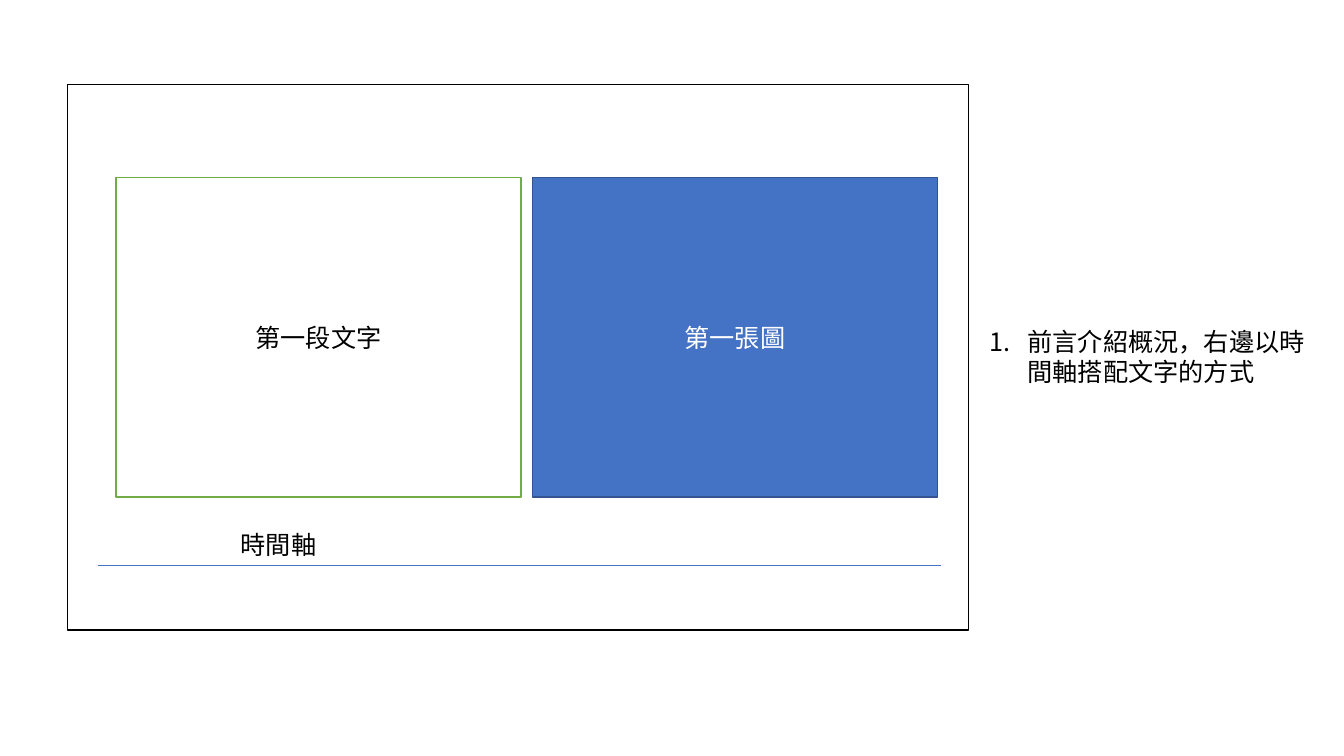
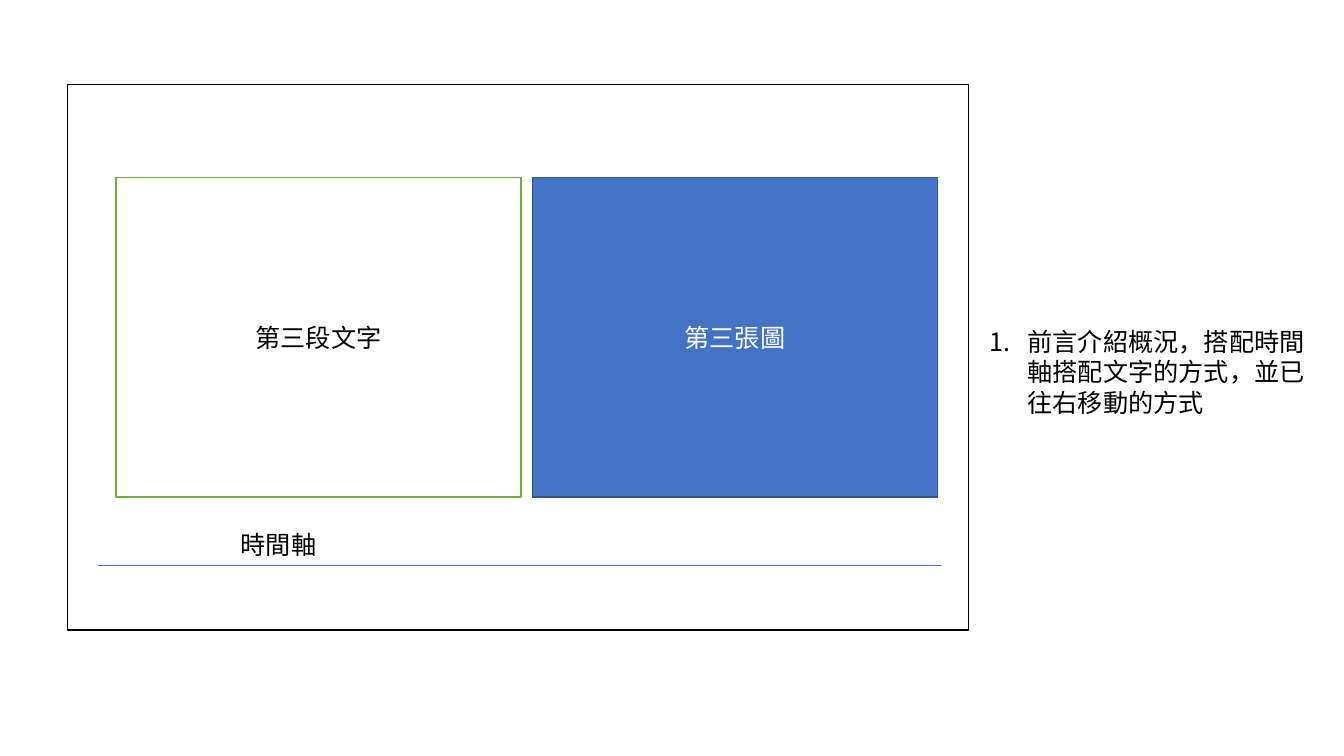
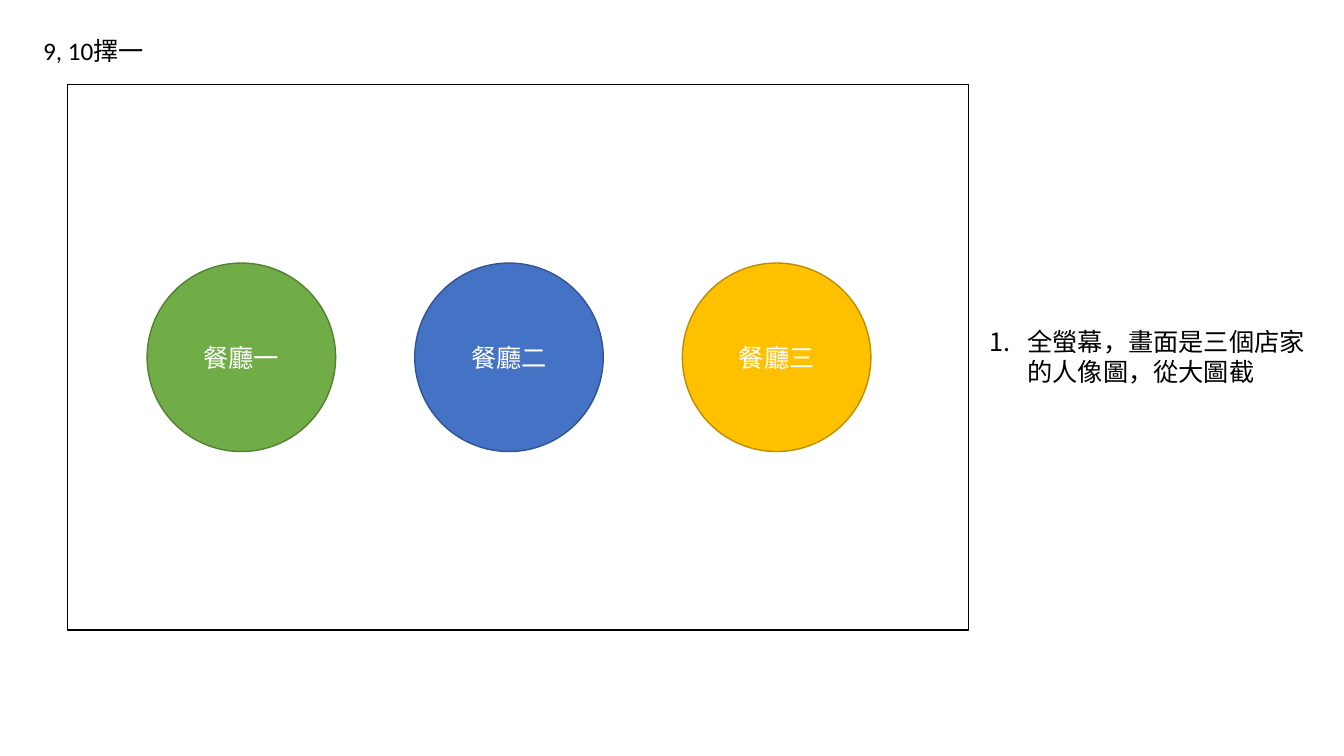
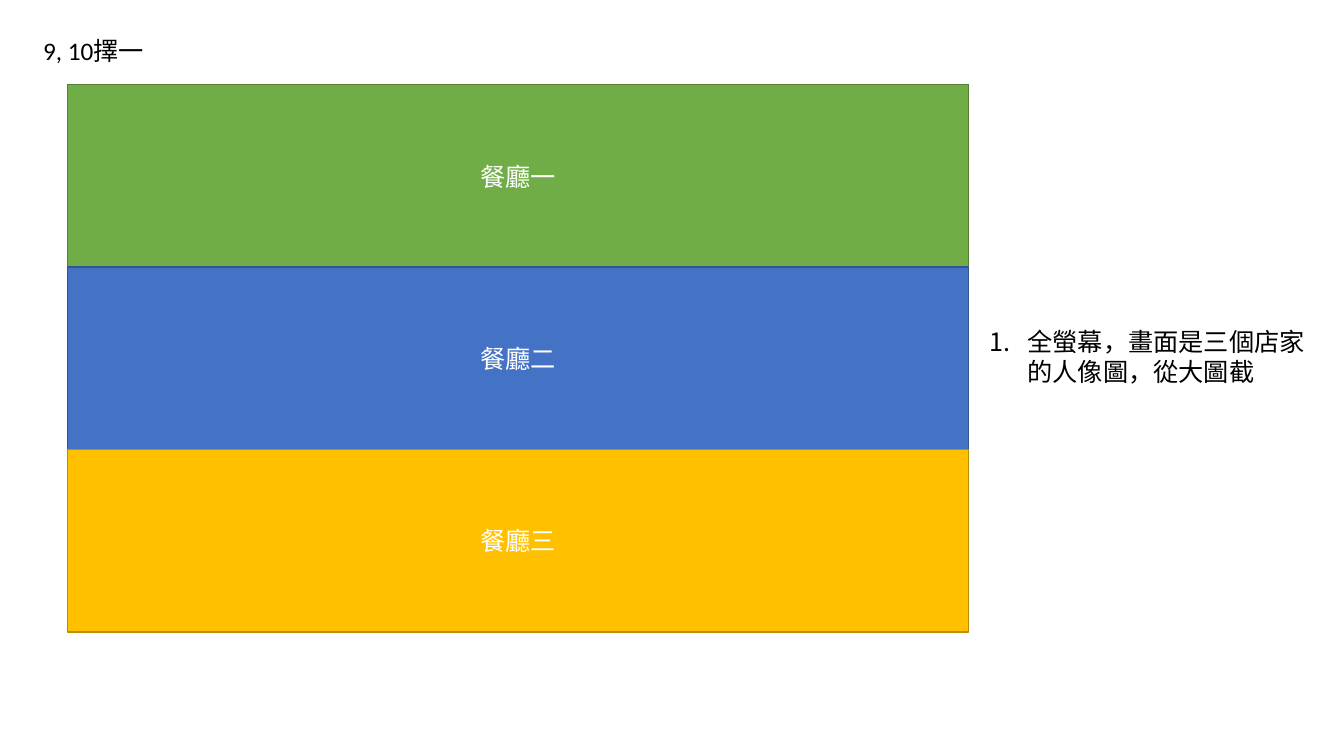
from dataclasses import dataclass

from lxml import etree
from pptx import Presentation
from pptx.dml.color import RGBColor
from pptx.enum.shapes import MSO_CONNECTOR, MSO_SHAPE
from pptx.enum.text import MSO_ANCHOR, MSO_AUTO_SIZE, PP_ALIGN
from pptx.oxml.ns import qn
from pptx.shapes.autoshape import Shape
from pptx.slide import Slide
from pptx.util import Pt

RECT, OVAL = MSO_SHAPE.RECTANGLE, MSO_SHAPE.OVAL
STRAIGHT = MSO_CONNECTOR.STRAIGHT
LEFT, CENTER = PP_ALIGN.LEFT, PP_ALIGN.CENTER
TOP, MIDDLE = MSO_ANCHOR.TOP, MSO_ANCHOR.MIDDLE
GROW = MSO_AUTO_SIZE.SHAPE_TO_FIT_TEXT

COLORS = {
    "black": "000000",
    "white": "FFFFFF",
    "green": "70AD47",
    "dark_green": "538035",
    "blue": "4472C4",
    "dark_blue": "325491",
    "gold": "FFC000",
    "dark_gold": "BD8E00",
}
CJK, LATIN = "Noto Sans CJK TC", "Calibri"
BLANK_LAYOUT = 6
NUMBER_INDENT = 27


@dataclass(frozen=True)
class Box:
    x: float
    y: float
    w: float
    h: float


@dataclass(frozen=True)
class Restaurant:
    name: str
    fill: str
    line: str


@dataclass(frozen=True)
class Story:
    words: str
    image: str
    note: str


FRAME = Box(48.24, 60.48, 643.68, 389.52)
PANEL = Box(82.8, 126.72, 289.44, 228.24)
PANEL_PITCH = 297.36
CIRCLE = Box(105.12, 187.92, 134.64, 134.64)
CIRCLE_PITCH = 191.16
BAND = Box(FRAME.x, FRAME.y, FRAME.w, 130.32)
NOTE_X, NOTE_Y, NOTE_LINE = 699.84, 229.68, 21.8

STORIES = (
    Story("第一段文字", "第一張圖", "前言介紹概況，右邊以時間軸搭配文字的方式"),
    Story("第三段文字", "第三張圖",
          "前言介紹概況，搭配時間軸搭配文字的方式，並已往右移動的方式"),
)
RESTAURANTS = (
    Restaurant("餐廳一", "green", "dark_green"),
    Restaurant("餐廳二", "blue", "dark_blue"),
    Restaurant("餐廳三", "gold", "dark_gold"),
)
RESTAURANT_NOTE = "全螢幕，畫面是三個店家的人像圖，從大圖截"


def rgb(name: str) -> RGBColor:
    return RGBColor.from_string(COLORS[name])


def set_text(sp: Shape, text: str, *, color: str = "black", font: str = CJK,
             align: PP_ALIGN = LEFT, anchor: MSO_ANCHOR = TOP,
             numbered: bool = False) -> None:
    tf = sp.text_frame
    tf.word_wrap = True
    tf.vertical_anchor = anchor
    p = tf.paragraphs[0]
    p.alignment = align
    if numbered:
        pPr = p._p.get_or_add_pPr()
        pPr.set("marL", str(Pt(NUMBER_INDENT)))
        pPr.set("indent", str(-Pt(NUMBER_INDENT)))
        etree.SubElement(pPr, qn("a:buAutoNum"), type="arabicPeriod")
    r = p.add_run()
    r.text = text
    r.font.size = Pt(18)
    r.font.color.rgb = rgb(color)
    r.font.name = font
    etree.SubElement(r._r.get_or_add_rPr(), qn("a:ea"), typeface=CJK)


def add_box(s: Slide, kind: MSO_SHAPE, box: Box, line: str,
            fill: str | None = None) -> Shape:
    sp = s.shapes.add_shape(kind, Pt(box.x), Pt(box.y), Pt(box.w), Pt(box.h))
    sp.shadow.inherit = False
    if fill:
        sp.fill.solid()
        sp.fill.fore_color.rgb = rgb(fill)
    else:
        sp.fill.background()
    sp.line.color.rgb = rgb(line)
    sp.line.width = Pt(1)
    return sp


def add_label(s: Slide, box: Box, text: str, font: str = CJK,
              numbered: bool = False) -> None:
    sp = s.shapes.add_textbox(Pt(box.x), Pt(box.y), Pt(box.w), Pt(box.h))
    set_text(sp, text, font=font, numbered=numbered)
    sp.text_frame.auto_size = GROW


def add_timeline(s: Slide) -> None:
    ln = s.shapes.add_connector(STRAIGHT, Pt(69.84), Pt(403.92), Pt(672.48), Pt(403.92))
    ln.line.color.rgb = rgb("blue")
    ln.line.width = Pt(0.5)
    etree.SubElement(ln._element.spPr, qn("a:effectLst"))
    add_label(s, Box(164.88, 374.4, 69.12, 28.8), "時間軸")


def add_framed_slide(prs: Presentation, note: str, note_w: float, lines: int) -> Slide:
    s = prs.slides.add_slide(prs.slide_layouts[BLANK_LAYOUT])
    add_box(s, RECT, FRAME, "black")
    add_label(s, Box(NOTE_X, NOTE_Y, note_w, 7.2 + lines * NOTE_LINE), note, numbered=True)
    return s


def add_story_slide(prs: Presentation, story: Story, lines: int) -> None:
    s = add_framed_slide(prs, story.note, 242.64, lines)
    add_timeline(s)
    words = add_box(s, RECT, PANEL, "green", "white")
    set_text(words, story.words, align=CENTER, anchor=MIDDLE)
    image_box = Box(PANEL.x + PANEL_PITCH, PANEL.y, PANEL.w, PANEL.h)
    image = add_box(s, RECT, image_box, "dark_blue", "blue")
    set_text(image, story.image, color="white", align=CENTER, anchor=MIDDLE)


def add_restaurant_slide(prs: Presentation, kind: MSO_SHAPE, first: Box,
                         dx: float = 0, dy: float = 0) -> None:
    s = add_framed_slide(prs, RESTAURANT_NOTE, 245.52, 2)
    for i, item in enumerate(RESTAURANTS):
        box = Box(first.x + i * dx, first.y + i * dy, first.w, first.h)
        sp = add_box(s, kind, box, item.line, item.fill)
        set_text(sp, item.name, color="white", font=LATIN, align=CENTER, anchor=MIDDLE)
    add_label(s, Box(23.76, 21.6, 87.12, 28.8), "9, 10擇一", font=LATIN)


def main() -> None:
    prs = Presentation()
    prs.slide_width, prs.slide_height = Pt(960), Pt(540)
    for lines, story in enumerate(STORIES, start=2):
        add_story_slide(prs, story, lines)
    add_restaurant_slide(prs, OVAL, CIRCLE, dx=CIRCLE_PITCH)
    add_restaurant_slide(prs, RECT, BAND, dy=BAND.h)
    prs.save("out.pptx")


if __name__ == "__main__":
    main()
